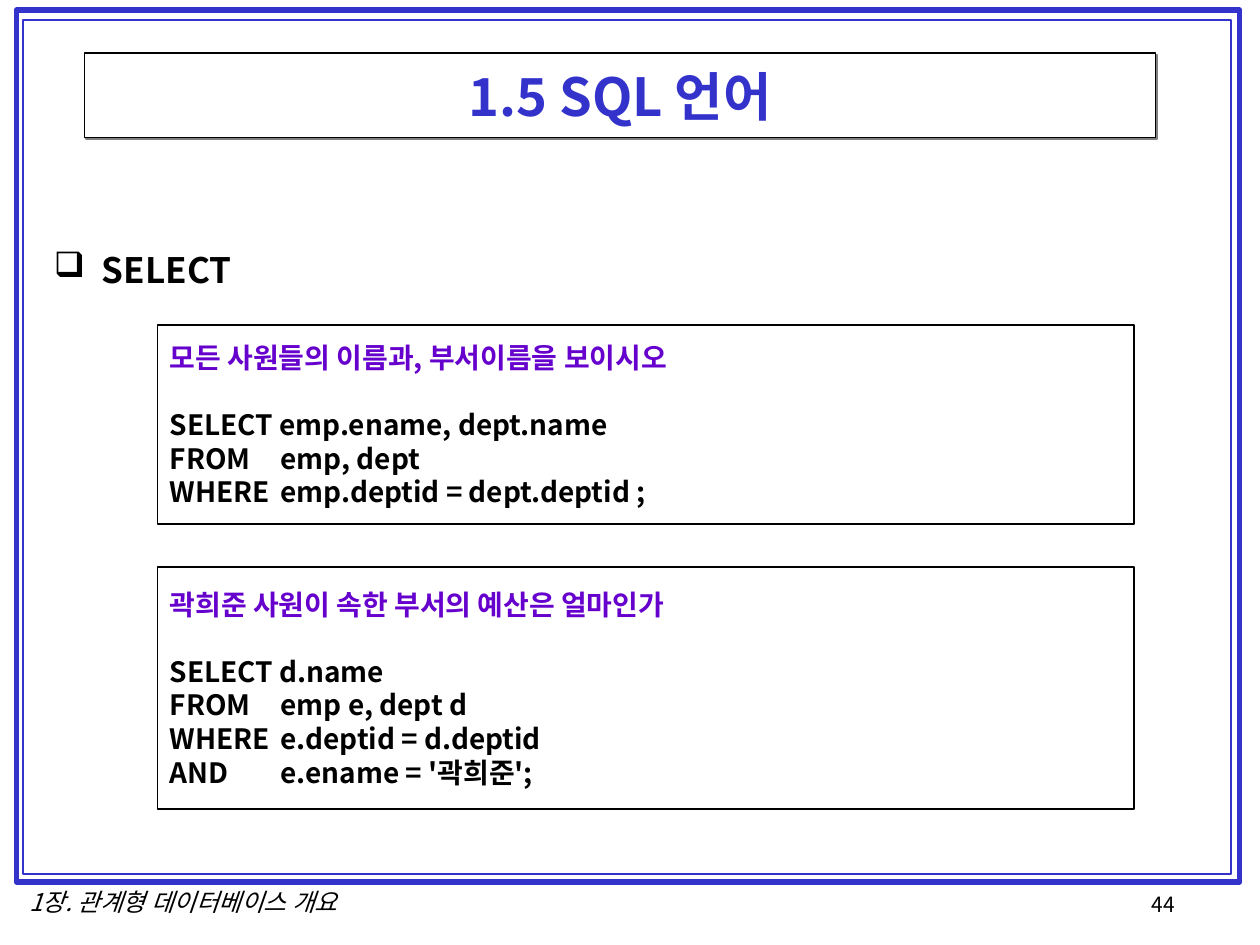
"""Build the SQL SELECT examples slide."""
from lxml.etree import SubElement
from pptx import Presentation
from pptx.dml.color import RGBColor
from pptx.enum.shapes import MSO_SHAPE
from pptx.enum.text import MSO_ANCHOR, PP_ALIGN
from pptx.oxml.ns import qn
from pptx.util import Inches, Pt

FONT = "Noto Sans CJK KR"
BLUE = RGBColor(0x33, 0x33, 0xCC)
PURPLE = RGBColor(0x66, 0x00, 0xCC)
BLACK = RGBColor(0, 0, 0)
WHITE = RGBColor(255, 255, 255)

LEADING = 1.2
KEYWORD_WIDTH = 0.88
QUERY_LEFT, QUERY_WIDTH = 1.25, 7.75

FRAMES = [((0.13, 0.08, 9.71, 6.92), 3), ((0.18, 0.16, 9.59, 6.78), 1)]
TITLE = "1.5 SQL 언어"
HEADING = "SELECT"
FOOTER = "1장. 관계형 데이터베이스 개요"
PAGE_NUMBER = "44"
QUERIES = [
    (2.58, 1.58, "모든 사원들의 이름과, 부서이름을 보이시오", [
        "SELECT emp.ename, dept.name",
        "FROM\temp, dept",
        "WHERE\temp.deptid = dept.deptid ;",
    ]),
    (4.5, 1.92, "곽희준 사원이 속한 부서의 예산은 얼마인가", [
        "SELECT d.name",
        "FROM\temp e, dept d",
        "WHERE\te.deptid = d.deptid",
        "AND\te.ename = '곽희준';",
    ]),
]


def add_box(page, place, color, width, fill=None):
    box = page.shapes.add_shape(MSO_SHAPE.RECTANGLE, *map(Inches, place))
    box.shadow.inherit = False
    box.line.color.rgb = color
    box.line.width = Pt(width)
    if fill is None:
        box.fill.background()
    else:
        box.fill.solid()
        box.fill.fore_color.rgb = fill
    box.text_frame.word_wrap = True
    box.text_frame.vertical_anchor = MSO_ANCHOR.MIDDLE
    return box


def add_text(page, place, wrap=False):
    box = page.shapes.add_textbox(*map(Inches, place))
    box.text_frame.word_wrap = wrap
    return box


def write(para, text, size, color=BLACK, align=PP_ALIGN.LEFT, **style):
    para.alignment = align
    para.line_spacing = Pt(size * LEADING)
    span = para.add_run()
    span.text = text
    span.font.color.rgb = color
    for name, value in {"name": FONT, "size": Pt(size), **style}.items():
        setattr(span.font, name, value)
    SubElement(span.font._element, qn("a:ea"), typeface=FONT)


def add_shadow(box):
    effects = box._element.spPr.find(qn("a:effectLst"))
    shadow = SubElement(effects, qn("a:outerShdw"), dist=str(Pt(1.4)),
                        dir=str(45 * 60000), algn="ctr", rotWithShape="0")
    SubElement(shadow, qn("a:srgbClr"), val="808080")


def add_bullet(para, symbol, indent):
    props = para._p.get_or_add_pPr()
    props.set("marL", str(Inches(indent)))
    props.set("indent", str(-Inches(indent)))
    SubElement(props, qn("a:buChar"), char=symbol)


def add_tab(para, position):
    tabs = SubElement(para._p.get_or_add_pPr(), qn("a:tabLst"))
    SubElement(tabs, qn("a:tab"), pos=str(Inches(position)), algn="l")


def add_query(page, top, height, question, clauses):
    box = add_box(page, (QUERY_LEFT, top, QUERY_WIDTH, height), BLACK, 0.75)
    frame = box.text_frame
    write(frame.paragraphs[0], question, 16, PURPLE, bold=True)
    for row, clause in enumerate(clauses):
        para = frame.add_paragraph()
        write(para, clause, 16, bold=True)
        if row == 0:
            para.space_before = Pt(16 * LEADING)
        add_tab(para, KEYWORD_WIDTH)


def main():
    deck = Presentation()
    deck.slide_width, deck.slide_height = Inches(10), Inches(7.5)
    page = deck.slides.add_slide(deck.slide_layouts[6])

    number = add_text(page, (9.04, 7.03, 1.02, 0.33), wrap=True)
    write(number.text_frame.paragraphs[0], PAGE_NUMBER, 12)
    footer = add_text(page, (0.05, 6.99, 2.81, 0.34))
    write(footer.text_frame.paragraphs[0], FOOTER, 14, align=PP_ALIGN.CENTER, italic=True)

    for place, width in FRAMES:
        add_box(page, place, BLUE, width)

    title = add_box(page, (0.67, 0.42, 8.5, 0.67), BLACK, 0.75, WHITE)
    add_shadow(title)
    write(title.text_frame.paragraphs[0], TITLE, 30, BLUE, PP_ALIGN.CENTER, bold=True)

    body = add_text(page, (0.33, 1.92, 9.33, 4.83), wrap=True)
    heading = body.text_frame.paragraphs[0]
    write(heading, HEADING, 20, bold=True)
    add_bullet(heading, "❑", 0.38)

    for query in QUERIES:
        add_query(page, *query)
    deck.save("out.pptx")


if __name__ == "__main__":
    main()
